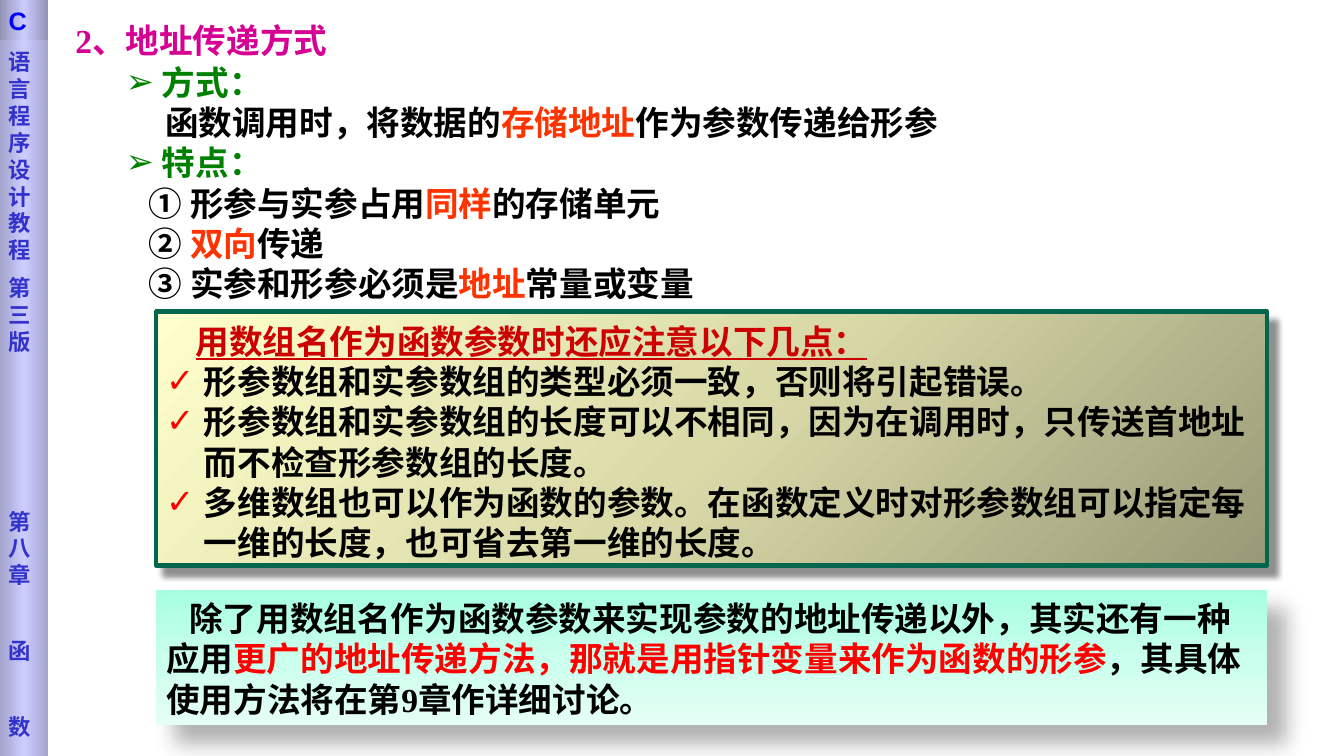
import lxml.etree
import pptx
import pptx.dml.color
import pptx.enum.shapes
import pptx.enum.text
import pptx.oxml
import pptx.oxml.ns
import pptx.util

Cm = pptx.util.Cm
Pt = pptx.util.Pt
qn = pptx.oxml.ns.qn


class Theme:
    # Fonts
    latin, east_asian, sans, symbol = "Times New Roman", "Noto Sans CJK SC", "Arial", "DejaVu Sans"
    # Type sizes and the line pitch as a multiple of the size
    text_size, side_size, letter_size, pitch = 24, 16, 18, 1.2
    # Text colours
    black, red, orange, green = "000000", "FF0000", "FF3300", "008000"
    magenta, dark_red, indigo, blue = "D60093", "CC0000", "3333CC", "0000FF"
    # Lines and gradients
    frame = "00664D"
    khaki = ("999977", "DADAA9", "FFFFCC")
    mint = ("A7FFE2", "C9FFEC", "E5FFF5")
    lilac = ("A4A4CD", "CCCCFF", "A4A4CD")
    dark_lilac = ("9292B6", "CCCCFF", "9292B6")


def sub(parent, tag, **attrs):
    return lxml.etree.SubElement(parent, qn(tag), {k: str(v) for k, v in attrs.items()})


def set_bullet(p, char, color):
    """Give the paragraph a bullet, or none when char is empty."""
    pPr = p._p.get_or_add_pPr()
    if not char:
        sub(pPr, "a:buNone")
        return
    sub(sub(pPr, "a:buClr"), "a:srgbClr", val=color)
    sub(pPr, "a:buFont", typeface=Theme.symbol)
    sub(pPr, "a:buChar", char=char)


def add_paragraph(tf, runs, left=0, first=0, bullet="", bullet_color=Theme.red,
                  size=Theme.text_size, font=Theme.latin, before=0, underline=False):
    """Fill the frame's first paragraph or a new one with (text, colour) runs."""
    p = tf.paragraphs[0] if not tf.text else tf.add_paragraph()
    pPr = p._p.get_or_add_pPr()
    pPr.set("marL", str(Cm(left)))
    pPr.set("indent", str(Cm(first)))
    set_bullet(p, bullet, bullet_color)
    p.alignment = pptx.enum.text.PP_ALIGN.LEFT
    p.line_spacing = Pt(size * Theme.pitch)
    p.space_before, p.space_after = Pt(before), Pt(0)
    for text, color in runs:
        r = p.add_run()
        r.text = text
        r.font.size, r.font.name, r.font.bold = Pt(size), font, True
        r.font.underline = underline
        r.font.color.rgb = pptx.dml.color.RGBColor.from_string(color)
        ea = lxml.etree.Element(qn("a:ea"), typeface=Theme.east_asian)
        r._r.rPr.find(qn("a:latin")).addnext(ea)


def set_frame(sp, top, side=0.25, anchor=pptx.enum.text.MSO_ANCHOR.TOP):
    tf = sp.text_frame
    tf.word_wrap = True
    tf.auto_size = pptx.enum.text.MSO_AUTO_SIZE.NONE
    tf.vertical_anchor = anchor
    tf.margin_left = tf.margin_right = Cm(side)
    tf.margin_top, tf.margin_bottom = Cm(top), Cm(0.13)
    return tf


def place(sp, left, top, width, height):
    sp.left, sp.top, sp.width, sp.height = Cm(left), Cm(top), Cm(width), Cm(height)


def add_panel(s, box, colors, angle, shadow=None):
    """Add a rectangle with a three-stop gradient and an optional soft shadow."""
    sp = s.shapes.add_shape(pptx.enum.shapes.MSO_SHAPE.RECTANGLE, *map(Cm, box))
    sp.shadow.inherit = False
    sp.line.fill.background()
    grad = lxml.etree.Element(qn("a:gradFill"), rotWithShape="1")
    stops = sub(grad, "a:gsLst")
    for i, color in enumerate(colors):
        sub(sub(stops, "a:gs", pos=i * 50000), "a:srgbClr", val=color)
    sub(grad, "a:lin", ang=angle * 60000, scaled=0)
    sp._element.spPr.find(qn("a:prstGeom")).addnext(grad)
    if shadow:
        alpha, blur, distance = shadow
        outer = sub(sp._element.spPr.find(qn("a:effectLst")), "a:outerShdw",
                    blurRad=Pt(blur), dist=Pt(distance), dir=45 * 60000,
                    algn="tl", rotWithShape=0)
        sub(sub(outer, "a:srgbClr", val=Theme.black), "a:alpha", val=alpha * 1000)
    return sp


def add_title(s):
    sp = s.shapes.title
    place(sp, 1.65, 0.25, 11.63, 1.27)
    add_paragraph(set_frame(sp, 0.24), [("2、地址传递方式", Theme.magenta)])


def add_body(s):
    sp = s.placeholders[1]
    place(sp, 2.92, 1.35, 29.62, 6.4)
    tf = set_frame(sp, 0.2)
    black, orange, green = Theme.black, Theme.orange, Theme.green

    def heading(text):
        add_paragraph(tf, [(text, green)], 0.91, -0.91, "➢", green)

    heading("方式：")
    add_paragraph(tf, [("函数调用时，将数据的", black), ("存储地址", orange),
                       ("作为参数传递给形参", black)], 0.99)
    heading("特点：")
    for before, key, after in (("① 形参与实参占用", "同样", "的存储单元"),
                               ("② ", "双向", "传递"),
                               ("③ 实参和形参必须是", "地址", "常量或变量")):
        add_paragraph(tf, [(before, black), (key, orange), (after, black)], 0.58)


def add_notes_panel(s):
    sp = add_panel(s, (3.94, 7.85, 27.99, 6.4), Theme.khaki, 225, (43, 4, 8.4))
    sp.line.color.rgb = pptx.dml.color.RGBColor.from_string(Theme.frame)
    sp.line.width = Pt(3)
    tf = set_frame(sp, 0.28, anchor=pptx.enum.text.MSO_ANCHOR.MIDDLE)
    add_paragraph(tf, [("用数组名作为函数参数时还应注意以下几点：", Theme.dark_red)],
                  first=0.74, font=Theme.east_asian, underline=True)
    for text in ("形参数组和实参数组的类型必须一致，否则将引起错误。",
                 "形参数组和实参数组的长度可以不相同，因为在调用时，只传送首地址而不检查形参数组的长度。",
                 "多维数组也可以作为函数的参数。在函数定义时对形参数组可以指定每一维的长度，也可省去第一维的长度。"):
        add_paragraph(tf, [(text, Theme.black)], 0.95, -0.95, "✓")


def add_summary_panel(s):
    sp = add_panel(s, (3.94, 14.86, 27.99, 3.4), Theme.mint, 90, (30, 15, 18))
    add_paragraph(set_frame(sp, 0.21), [
        ("除了用数组名作为函数参数来实现参数的地址传递以外，其实还有一种应用", Theme.black),
        ("更广的地址传递方法，那就是用指针变量来作为函数的形参", Theme.red),
        ("，其具体使用方法将在第9章作详细讨论。", Theme.black)], first=0.58)


def add_sidebar(s):
    # The column is one character wide, so the text runs downwards
    sp = add_panel(s, (0, 0, 1.22, 19.05), Theme.lilac, 0)
    tf = set_frame(sp, 1.22, 0.22)
    for text, before in (("语言程序设计教程", 0), ("第三版", 8), ("第八章", 109),
                         ("函", 35), ("数", 35)):
        add_paragraph(tf, [(text, Theme.indigo)], size=Theme.side_size,
                      font=Theme.symbol, before=before)
    sp = add_panel(s, (0, 0, 1.22, 1.02), Theme.dark_lilac, 0)
    add_paragraph(set_frame(sp, 0.13, 0.22), [("C", Theme.blue)],
                  size=Theme.letter_size, font=Theme.sans)


def main():
    prs = pptx.Presentation()
    prs.slide_width, prs.slide_height = Cm(33.87), Cm(19.05)
    s = prs.slides.add_slide(prs.slide_layouts[1])
    add_title(s)
    add_body(s)
    add_notes_panel(s)
    add_summary_panel(s)
    add_sidebar(s)
    prs.save("out.pptx")


if __name__ == "__main__":
    main()
